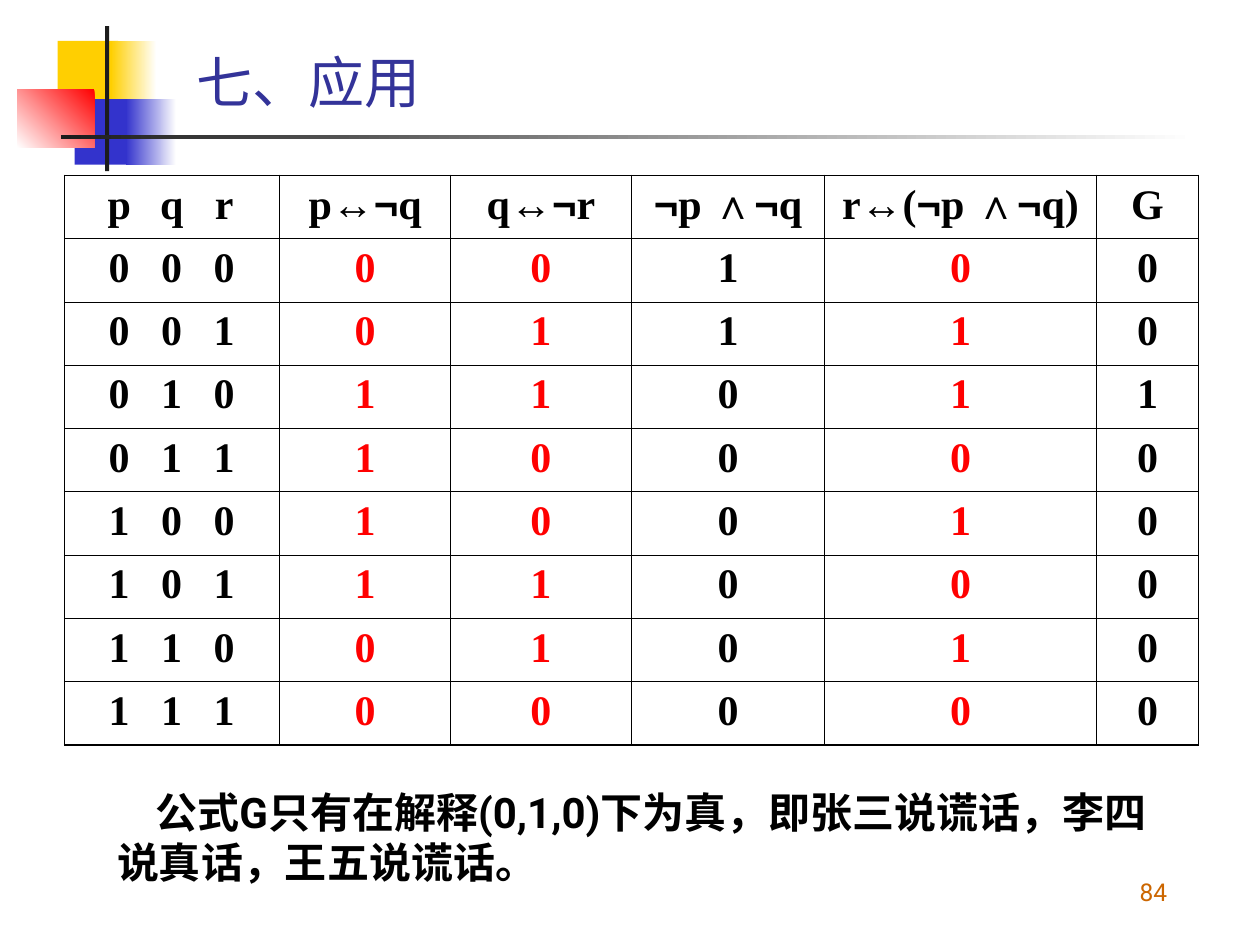
from dataclasses import dataclass
from itertools import groupby, product

from pptx import Presentation
from pptx.dml.color import RGBColor
from pptx.enum.shapes import MSO_SHAPE
from pptx.enum.text import MSO_ANCHOR, PP_ALIGN
from pptx.oxml.ns import qn
from pptx.util import Pt
from lxml.etree import SubElement


@dataclass(frozen=True)
class Theme:
    yellow: str = "FFCF01"
    blue: str = "3333CC"
    red: str = "FF0000"
    dark: str = "1C1C1C"
    white: str = "FFFFFF"
    black: str = "000000"
    title: str = "333399"
    number: str = "CC6600"
    font: str = "Roboto"
    table_font: str = "Times New Roman"
    symbol_font: str = "Arial"
    title_size: float = 32
    body_size: float = 24
    number_size: float = 14
    outer_line: float = 0.96
    inner_line: float = 0.45


class SlideBuilder:
    def __init__(self, slide, theme):
        self.slide = slide
        self.theme = theme

    def style(self, p, name, size, color, bold=False):
        p.font.name = name
        p.font.size = Pt(size)
        p.font.bold = bold
        p.font.color.rgb = RGBColor.from_string(color)

    def rect(self, box, color, fade_from=None, angle=180):
        sp = self.slide.shapes.add_shape(MSO_SHAPE.RECTANGLE, *map(Pt, box))
        sp.shadow.inherit = False
        sp.line.fill.background()
        if fade_from is None:
            sp.fill.solid()
            sp.fill.fore_color.rgb = RGBColor.from_string(color)
            return
        sp.fill.gradient()
        sp.fill.gradient_angle = angle
        for stop, c in zip(sp.fill.gradient_stops, (fade_from, color)):
            stop.color.rgb = RGBColor.from_string(c)

    def text(self, box, text, size, color, bold=False, anchor=MSO_ANCHOR.MIDDLE,
             align=PP_ALIGN.LEFT, indent=0):
        tf = self.slide.shapes.add_textbox(*map(Pt, box)).text_frame
        tf.word_wrap = True
        tf.vertical_anchor = anchor
        p = tf.paragraphs[0]
        p.text = text
        p.alignment = align
        if indent:
            p._p.get_or_add_pPr().set("indent", str(Pt(indent)))
        self.style(p, self.theme.font, size, color, bold)

    def borders(self, cell, widths):
        tcPr = cell._tc.get_or_add_tcPr()
        for side, width in zip("LRTB", widths):
            ln = SubElement(tcPr, qn(f"a:ln{side}"), w=str(Pt(width)))
            fill = SubElement(ln, qn("a:solidFill"))
            SubElement(fill, qn("a:srgbClr"), val=self.theme.black)

    def cell_text(self, cell, text, color, tabs):
        p = cell.text_frame.paragraphs[0]
        if "\t" in text:
            p.alignment = PP_ALIGN.LEFT
            tab_list = SubElement(p._p.get_or_add_pPr(), qn("a:tabLst"))
            for pos in tabs:
                SubElement(tab_list, qn("a:tab"), pos=str(Pt(pos)), algn="ctr")
        else:
            p.alignment = PP_ALIGN.CENTER
        self.style(p, self.theme.table_font, self.theme.body_size, color, True)
        for is_symbol, chars in groupby(text, lambda ch: ch in "¬∧"):
            r = p.add_run()
            r.text = "".join(chars)
            if is_symbol:
                r.font.name = self.theme.symbol_font

    def table(self, left, top, widths, row_height, rows, red_columns, tabs):
        t = self.theme
        n_rows, n_cols = len(rows), len(widths)
        table = self.slide.shapes.add_table(
            n_rows, n_cols, Pt(left), Pt(top),
            Pt(sum(widths)), Pt(row_height * n_rows)).table
        table.first_row = table.horz_banding = False
        for column, width in zip(table.columns, widths):
            column.width = Pt(width)
        for i, row in enumerate(rows):
            table.rows[i].height = Pt(row_height)
            for j, text in enumerate(row):
                cell = table.cell(i, j)
                edges = (j == 0, j == n_cols - 1, i == 0, i == n_rows - 1)
                self.borders(cell, [t.outer_line if e else t.inner_line for e in edges])
                cell.fill.background()
                color = t.red if i and j in red_columns else t.black
                self.cell_text(cell, text, color, tabs)


def truth_rows():
    yield "\tp\tq\tr", "p↔¬q", "q↔¬r", "¬p ∧¬q", "r↔(¬p ∧¬q)", "G"
    for p, q, r in product((0, 1), repeat=3):
        neither = not p and not q
        parts = [p != q, q != r, r == neither]
        values = parts[:2] + [neither, parts[2], all(parts)]
        yield (f"\t{p}\t{q}\t{r}", *(str(int(v)) for v in values))


def main():
    prs = Presentation()
    prs.slide_width, prs.slide_height = Pt(720), Pt(540)
    t = Theme()
    s = SlideBuilder(prs.slides.add_slide(prs.slide_layouts[6]), t)

    s.rect((33, 23.3, 34.5, 37.4), t.yellow)
    s.rect((63.4, 23.3, 26, 37.4), t.yellow, fade_from=t.white)
    s.rect((42.7, 56.7, 33, 37.4), t.blue)
    s.rect((72, 56.7, 28.8, 37.4), t.blue, fade_from=t.white)
    s.rect((9.8, 51, 44.2, 33.3), t.white, fade_from=t.red, angle=225)
    s.rect((60, 15, 2.4, 82.8), t.dark)
    s.rect((34.9, 77.1, 648, 2.2), t.dark, fade_from=t.white)

    s.table(36.9, 100.2, (123, 97.5, 103.5, 110.3, 155.4, 58.3), 36.18,
            list(truth_rows()), red_columns=(1, 2, 4), tabs=(24, 54, 84))

    s.text((59.8, 445.7, 602.6, 64.8),
           "公式G只有在解释(0,1,0)下为真，即张三说谎话，李四说真话，王五说谎话。",
           t.body_size, t.black, bold=True, indent=22)
    s.text((105.1, 21.6, 578.9, 49.7), "七、应用", t.title_size, t.title)
    s.text((524.2, 485.3, 149.8, 36), "84", t.number_size, t.number,
           anchor=MSO_ANCHOR.BOTTOM, align=PP_ALIGN.RIGHT)

    prs.save("out.pptx")


if __name__ == "__main__":
    main()
